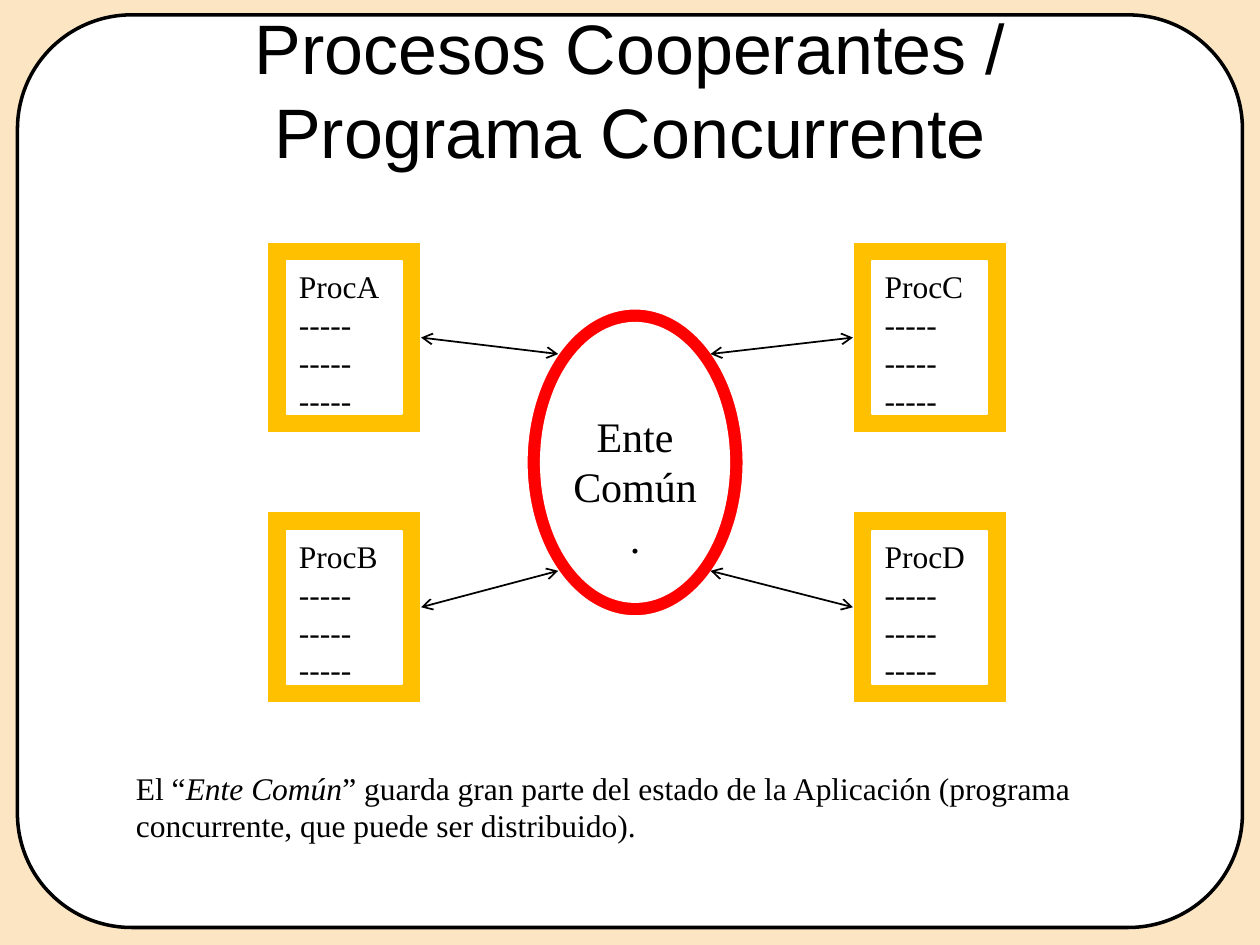
from pptx import Presentation
from pptx.dml.color import RGBColor as RGB
from pptx.enum.shapes import MSO_CONNECTOR as CONN, MSO_SHAPE as SHAPE
from pptx.enum.text import MSO_ANCHOR as ANCHOR, PP_ALIGN as ALIGN
from pptx.oxml.ns import qn
from pptx.util import Pt
from lxml.etree import SubElement

# Content
TITLE = "Procesos Cooperantes / Programa Concurrente"
CODE = ["-----"] * 3
PROCS = [("ProcA", 0, 0), ("ProcB", 0, 1), ("ProcC", 1, 0), ("ProcD", 1, 1)]
CORE = ["Ente", "Común."]
NOTE = [("El “", False), ("Ente Común", True),
        ("” guarda gran parte del estado de la Aplicación (programa "
         "concurrente, que puede ser distribuido).", False)]

# Style and layout, in points
HUE = {"sand": "FBE5C3", "white": "FFFFFF", "black": "000000",
       "gold": "FFC000", "red": "FF0000"}
SANS, SERIF = "Arial", "Times New Roman"
COLS, ROWS = (152.8, 487.4), (138.2, 292.3)
BOX_W, BOX_H = 87.8, 109.4
RING = (301, 176.4, 123.8, 175.7)
RIM_X, RIM_Y = (319, 406), (202.3, 326.2)

prs = Presentation()
prs.slide_width, prs.slide_height = Pt(720), Pt(540)
slide = prs.slides.add_slide(prs.slide_layouts[6])
shapes = slide.shapes


def color(name):
    return RGB.from_string(HUE[name])


def write(frame, paras, size, font, align=ALIGN.LEFT, anchor=ANCHOR.TOP):
    frame.word_wrap = True
    frame.vertical_anchor = anchor
    for i, runs in enumerate(paras):
        para = frame.add_paragraph() if i else frame.paragraphs[0]
        para.alignment = align
        for text, slant in runs:
            run = para.add_run()
            run.text = text
            run.font.size, run.font.name = Pt(size), font
            run.font.italic = slant
            run.font.color.rgb = color("black")


def plain(lines):
    return [[(line, False)] for line in lines]


def draw(kind, place, fill, line=None, width=1, adj=None):
    part = shapes.add_shape(kind, *map(Pt, place))
    part.shadow.inherit = False
    part.fill.solid()
    part.fill.fore_color.rgb = color(fill)
    if line:
        part.line.color.rgb = color(line)
        part.line.width = Pt(width)
    else:
        part.line.fill.background()
    if adj is not None:
        part.adjustments[0] = adj
    return part


def label(place, *text, **opts):
    write(shapes.add_textbox(*map(Pt, place)).text_frame, *text, **opts)


def link(x1, y1, x2, y2):
    line = shapes.add_connector(CONN.STRAIGHT, *map(Pt, (x1, y1, x2, y2)))
    line.line.color.rgb = color("black")
    line.line.width = Pt(1)
    props = line.line._get_or_add_ln()
    for end in ("a:headEnd", "a:tailEnd"):
        SubElement(props, qn(end), type="arrow")
    SubElement(line._element.spPr, qn("a:effectLst"))


# Backdrop and title
draw(SHAPE.RECTANGLE, (0, 0, 720, 540), "sand")
draw(SHAPE.ROUNDED_RECTANGLE, (10, 8.5, 700, 521.5), "white", "black", 2, 0.125)
label((54, 5.8, 612, 90), plain([TITLE]), 40, SANS,
      align=ALIGN.CENTER, anchor=ANCHOR.MIDDLE)

# Shared entity, its text set one line down
ring = draw(SHAPE.DONUT, RING, "red", "white", adj=0.065)
ring.text_frame.margin_top = Pt(32.4)
write(ring.text_frame, plain(CORE), 24, SERIF, align=ALIGN.CENTER)

# Processes, each linked to the entity
for name, col, row in PROCS:
    left, top = COLS[col], ROWS[row]
    box = draw(SHAPE.FRAME, (left, top, BOX_W, BOX_H), "gold", "white")
    write(box.text_frame, plain([name] + CODE), 18, SERIF)
    near = (left if col else left + BOX_W, top + BOX_H / 2)
    rim = (RIM_X[col], RIM_Y[row])
    link(*(rim + near if col else near + rim))

# Note
label((70.6, 435.6, 564.5, 51.1), [NOTE], 18, SERIF)

prs.save("out.pptx")
